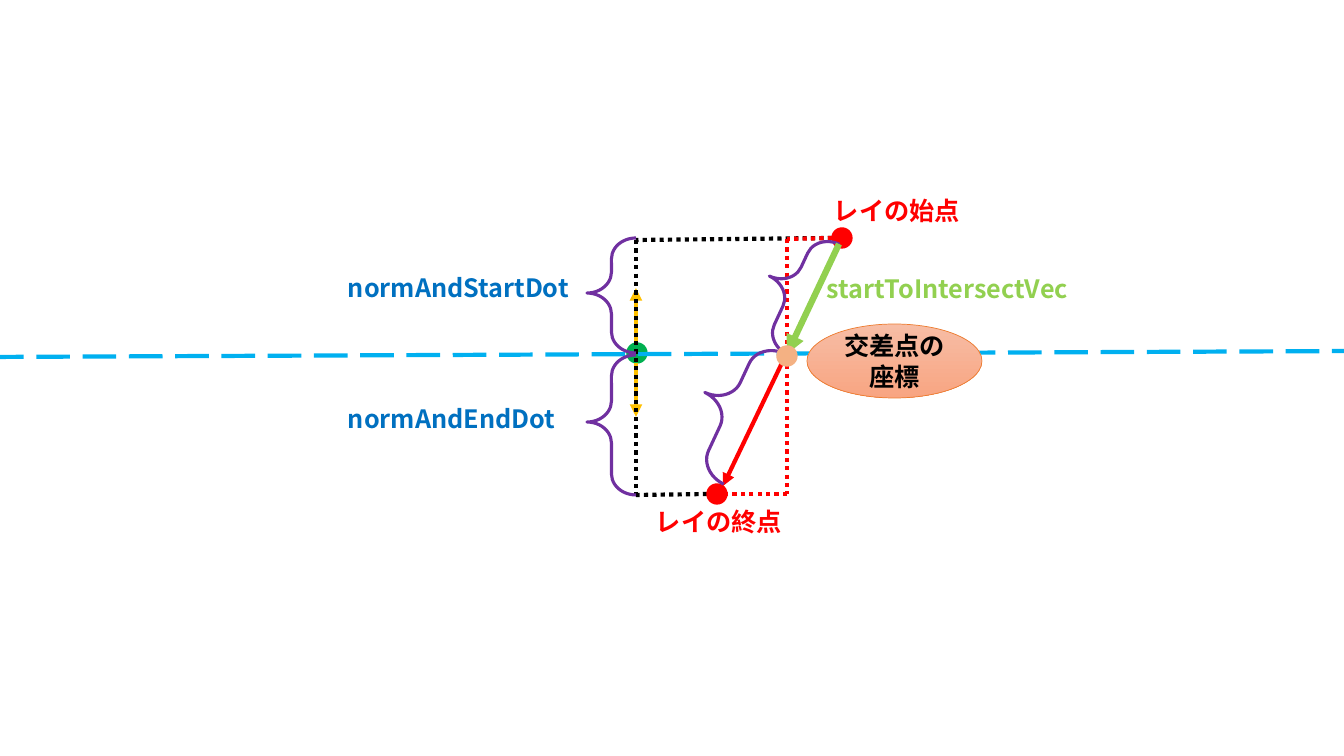
import pptx
import pptx.util
import pptx.dml.color
import pptx.enum.dml
import pptx.enum.shapes
import pptx.enum.text
import pptx.oxml
import pptx.oxml.ns
import lxml.etree

RGBColor = pptx.dml.color.RGBColor
Shapes = pptx.enum.shapes.MSO_SHAPE
Dash = pptx.enum.dml.MSO_LINE
Align = pptx.enum.text.PP_ALIGN
qn = pptx.oxml.ns.qn

RED = RGBColor(0xFF, 0, 0)
BLACK = RGBColor(0, 0, 0)
GREEN = RGBColor(0, 0xB0, 0x50)
LIME = RGBColor(0x92, 0xD0, 0x50)
GOLD = RGBColor(0xFF, 0xC0, 0)
SKY = RGBColor(0, 0xB0, 0xF0)
BLUE = RGBColor(0, 0x70, 0xC0)
PURPLE = RGBColor(0x70, 0x30, 0xA0)
PEACH = RGBColor(0xF4, 0xB1, 0x83)
ORANGE = RGBColor(0xED, 0x7D, 0x31)
CALLOUT_TOP = RGBColor(0xF7, 0xBD, 0xA5)
CALLOUT_BOTTOM = RGBColor(0xF8, 0xA5, 0x82)

FONT = "Noto Sans CJK JP"
DOT_SIZE = 20
LABEL_HEIGHT = 40
SCALE = 914400 / 100.8


def emu(*pixels):
    return [round(pixel * SCALE) for pixel in pixels]


def set_text(shape, text, color, align=Align.LEFT):
    shape.text_frame.word_wrap = True
    paragraph = shape.text_frame.paragraphs[0]
    paragraph.text = text
    paragraph.alignment = align
    paragraph.font.size = pptx.util.Pt(18)
    paragraph.font.bold = True
    paragraph.font.name = FONT
    paragraph.font.color.rgb = color
    # East Asian typeface
    properties = paragraph._p.pPr.find(qn("a:defRPr"))
    lxml.etree.SubElement(properties, qn("a:ea")).set("typeface", FONT)


def add_label(slide, left, top, width, text, color):
    label = slide.shapes.add_textbox(*emu(left, top, width, LABEL_HEIGHT))
    set_text(label, text, color)


def add_dot(slide, left, top, color):
    dot = slide.shapes.add_shape(Shapes.OVAL, *emu(left, top, DOT_SIZE, DOT_SIZE))
    dot.shadow.inherit = False
    dot.fill.solid()
    dot.fill.fore_color.rgb = color
    dot.line.color.rgb = color
    dot.line.width = pptx.util.Pt(1)


def add_line(slide, start, end, color, width=3, dash=None, arrow=False):
    connector = slide.shapes.add_connector(
        pptx.enum.shapes.MSO_CONNECTOR.STRAIGHT, *emu(*start, *end))
    connector.line.color.rgb = color
    connector.line.width = pptx.util.Pt(width)
    if dash:
        connector.line.dash_style = dash
    properties = connector._element.spPr
    if arrow:
        tail = lxml.etree.SubElement(properties.find(qn("a:ln")), qn("a:tailEnd"))
        tail.set("type", "triangle")
    lxml.etree.SubElement(properties, qn("a:effectLst"))


def add_brace(slide, left, top, width, height, rotation=0):
    brace = slide.shapes.add_shape(Shapes.RIGHT_BRACE, *emu(left, top, width, height))
    brace.shadow.inherit = False
    brace.fill.background()
    brace.line.color.rgb = PURPLE
    brace.line.width = pptx.util.Pt(2.25)
    brace.adjustments[0] = 0.428
    brace.adjustments[1] = 0.479
    brace.rotation = rotation
    brace._element.spPr.get_or_add_xfrm().set("flipH", "1")


def draw_plane(slide, left, top, width, height):
    """Dashed plane with the point its normals start from."""
    add_dot(slide, left + 637, top - 8, GREEN)
    add_line(slide, (left, top + height), (left + width, top), SKY, dash=Dash.LONG_DASH)


def draw_normal_side(slide, left, top, width, height):
    """Normals, projected lengths and their labels."""
    axis, bottom = left + width, top + height
    # Normals on both sides of the plane
    for start, end in ((105, 50), (125, 179)):
        add_line(slide, (axis, top + start), (axis, top + end), GOLD, arrow=True)
    # Projection of the ray ends onto the normal
    for start, end in (((axis, top + 2), (axis, bottom)),
                       ((axis + 71, bottom - 1), (axis, bottom)),
                       ((axis + 196, top), (axis, top + 2))):
        add_line(slide, start, end, BLACK, dash=Dash.ROUND_DOT)
    # Lengths
    for text, brace_top, brace_height, label_top in (
            ("normAndStartDot", 0, 115, 29), ("normAndEndDot", 117, 140, 160)):
        add_brace(slide, axis - 49, top + brace_top, 49, brace_height)
        add_label(slide, left, top + label_top, 249, text, BLUE)


def draw_ray_side(slide, left, top, width, height):
    """Ray from start to end, crossing the plane."""
    right, bottom = left + width, top + height
    crossing = left + 80
    start = (right - 13, top + 16)
    # Ray and its ends
    add_line(slide, start, (left + 16, bottom - 18), RED, arrow=True)
    add_dot(slide, right - DOT_SIZE, top, RED)
    add_dot(slide, left, bottom - DOT_SIZE, RED)
    add_label(slide, right - 28, top - 38, 249, "レイの始点", RED)
    add_label(slide, left - 61, bottom - 3, 249, "レイの終点", RED)
    # Dotted guides through the crossing
    corners = [(right - 20, top + 10), (crossing, top + 11),
               (crossing, bottom - 10), (left + 20, bottom - 10)]
    for first, second in zip(corners, corners[1:]):
        add_line(slide, first, second, RED, dash=Dash.ROUND_DOT)
    # Vector to the crossing, with braces along the ray
    add_brace(slide, left + 59, top, 50, 122, 25)
    add_line(slide, start, (crossing, top + 126), LIME, width=4.5, arrow=True)
    add_brace(slide, left - 6, top + 107, 56, 144, 25)
    add_label(slide, left + 110, top + 40, 273, "startToIntersectVec", LIME)


def draw_crossing(slide, left, top, width, height):
    """Crossing point and its callout."""
    callout = slide.shapes.add_shape(
        Shapes.OVAL, *emu(left + 30, top, width - 30, height))
    callout.shadow.inherit = False
    callout.fill.gradient()
    callout.fill.gradient_angle = 270
    for stop, color in zip(callout.fill.gradient_stops, (CALLOUT_TOP, CALLOUT_BOTTOM)):
        stop.color.rgb = color
    callout.line.color.rgb = ORANGE
    callout.line.width = pptx.util.Pt(0.5)
    callout.text_frame.vertical_anchor = pptx.enum.text.MSO_ANCHOR.MIDDLE
    set_text(callout, "交差点の座標", BLACK, Align.CENTER)
    add_dot(slide, left, top + 22, PEACH)


presentation = pptx.Presentation()
presentation.slide_width, presentation.slide_height = emu(1344, 756)
slide = presentation.slides.add_slide(presentation.slide_layouts[6])
draw_plane(slide, -10, 351, 1370, 6)
draw_normal_side(slide, 338, 238, 298, 257)
draw_ray_side(slide, 707, 228, 145, 276)
draw_crossing(slide, 777, 324, 205, 74)
presentation.save("out.pptx")
